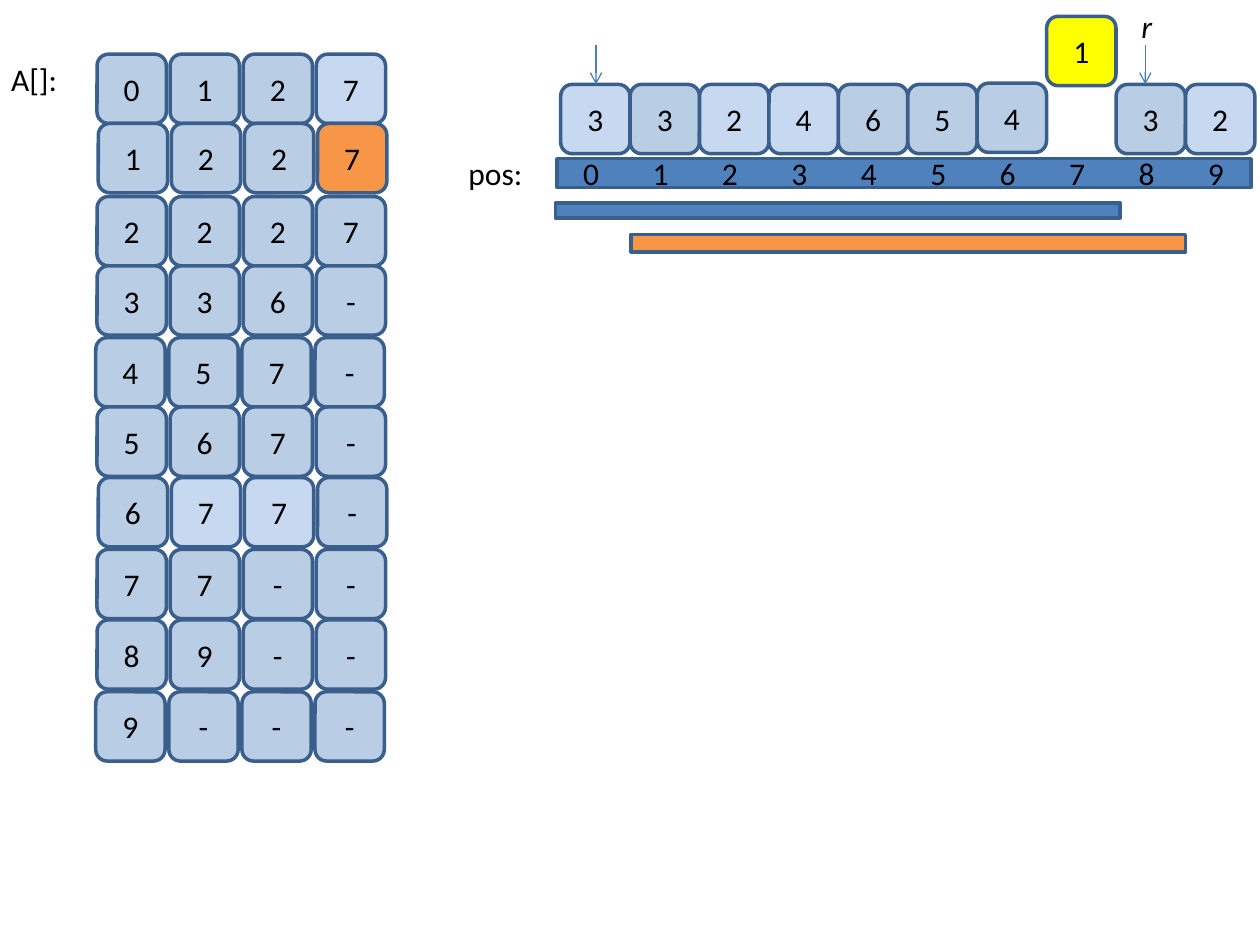
"""Build a slide with a position table A[] beside a digit sequence and its index bar."""
from lxml.etree import SubElement
from pptx import Presentation
from pptx.dml.color import RGBColor
from pptx.enum.shapes import MSO_CONNECTOR, MSO_SHAPE
from pptx.enum.text import MSO_ANCHOR, MSO_AUTO_SIZE, PP_ALIGN
from pptx.oxml.ns import qn
from pptx.util import Inches, Pt

COLORS = {
    "cell": "B9CDE5", "pale": "C6D9F1", "orange": "F79646", "yellow": "FFFF00",
    "bar": "4F81BD", "outline": "3A5F8C", "arrow": "4B7EBC", "text": "000000",
}
FONT = {"name": "Calibri", "size": Pt(18)}
CELL, COLUMN_STEP, SEQUENCE_STEP = 0.55, 0.58, 0.551
SEQUENCE_LEFT, POSITION_LEFT = 4.45, 4.53

TABLE = [
    (0.77, 0.43, "0127"), (0.78, 0.98, "1227"), (0.77, 1.56, "2227"),
    (0.77, 2.11, "336-"), (0.76, 2.68, "457-"), (0.77, 3.23, "567-"),
    (0.78, 3.79, "677-"), (0.77, 4.36, "77--"), (0.77, 4.92, "89--"),
    (0.76, 5.49, "9---"),
]
TABLE_FILLS = {(0, 3): "pale", (1, 3): "orange", (6, 1): "pale", (6, 2): "pale"}
SEQUENCE = "3324654132"
SEQUENCE_FILLS = {0: "pale", 2: "pale", 3: "pale", 7: "yellow", 9: "pale"}
SEQUENCE_TOPS = {6: 0.66, 7: 0.13}
BARS = [
    (4.42, 1.26, 5.51, 0.23, "bar"),
    (4.41, 1.61, 4.48, 0.12, "bar"),
    (5.01, 1.86, 4.4, 0.14, "orange"),
]
ARROWS = [4.73, 9.09]
LABELS = [
    ("r", 8.96, 0.01, 0.29, True),
    ("pos:", 3.62, 1.17, 0.63, False),
    ("A[]:", -0.01, 0.43, 0.57, False),
]


def rgb(name):
    return RGBColor.from_string(COLORS[name])


def write(tf, text, **extra):
    r = tf.paragraphs[0].add_run()
    r.text = text
    for key, value in {**FONT, **extra}.items():
        setattr(r.font, key, value)
    r.font.color.rgb = rgb("text")


def add_box(kind, left, top, width, height, fill):
    sp = s.shapes.add_shape(kind, *map(Inches, (left, top, width, height)))
    sp.shadow.inherit = False
    sp.fill.solid()
    sp.fill.fore_color.rgb = rgb(fill)
    sp.line.color.rgb = rgb("outline")
    sp.line.width = Pt(2)
    return sp


def add_cell(text, left, top, fill):
    tf = add_box(MSO_SHAPE.ROUNDED_RECTANGLE, left, top, CELL, CELL, fill).text_frame
    tf.vertical_anchor = MSO_ANCHOR.MIDDLE
    tf.paragraphs[0].alignment = PP_ALIGN.CENTER
    write(tf, text)


def add_label(text, left, top, width, italic=False):
    tf = s.shapes.add_textbox(*map(Inches, (left, top, width, 0.4))).text_frame
    tf.word_wrap = False
    tf.auto_size = MSO_AUTO_SIZE.SHAPE_TO_FIT_TEXT
    write(tf, text, italic=italic)


def add_arrow(x):
    ends = map(Inches, (x, 0.36, x, 0.67))
    line = s.shapes.add_connector(MSO_CONNECTOR.STRAIGHT, *ends)
    line.line.color.rgb = rgb("arrow")
    line.line.width = Pt(0.75)
    SubElement(line.line._get_or_add_ln(), qn("a:tailEnd"), type="arrow")
    SubElement(line._element.spPr, qn("a:effectLst"))


prs = Presentation()
prs.slide_width, prs.slide_height = Inches(10), Inches(7.5)
s = prs.slides.add_slide(prs.slide_layouts[6])

for i, digit in enumerate(SEQUENCE):
    add_cell(digit, SEQUENCE_LEFT + i * SEQUENCE_STEP, SEQUENCE_TOPS.get(i, 0.67),
             SEQUENCE_FILLS.get(i, "cell"))
for x in ARROWS:
    add_arrow(x)
for bar in BARS:
    add_box(MSO_SHAPE.RECTANGLE, *bar)
for i in range(len(SEQUENCE)):
    add_label(str(i), POSITION_LEFT + i * SEQUENCE_STEP, 1.17, 0.33)
for row, (left, top, values) in enumerate(TABLE):
    for col, value in enumerate(values):
        add_cell(value, left + col * COLUMN_STEP, top,
                 TABLE_FILLS.get((row, col), "cell"))
for label in LABELS:
    add_label(*label)

prs.save("out.pptx")
